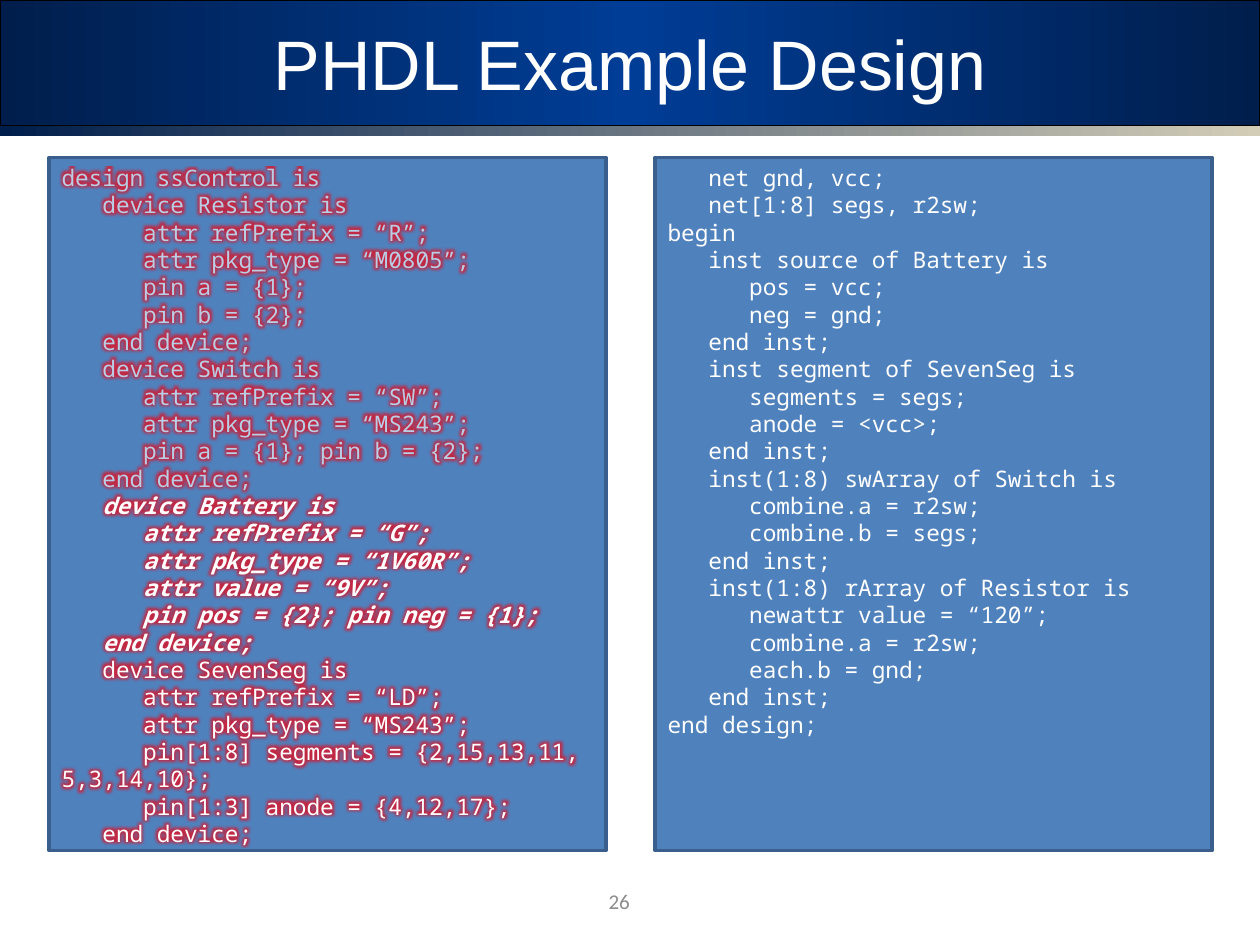
from lxml import etree
from pptx import Presentation
from pptx.dml.color import RGBColor
from pptx.enum.shapes import MSO_SHAPE as Shape
from pptx.enum.text import MSO_ANCHOR as Anchor, PP_ALIGN as Align
from pptx.oxml import parse_xml
from pptx.oxml.ns import nsdecls, qn
from pptx.util import Inches, Pt

NAVY = RGBColor(0x00, 0x1E, 0x4C)
ROYAL = RGBColor(0x00, 0x3D, 0x96)
SAND = RGBColor(0xD3, 0xCD, 0xB7)
BLACK = RGBColor(0x00, 0x00, 0x00)
WHITE = RGBColor(0xFF, 0xFF, 0xFF)
GRAY = RGBColor(0x8C, 0x8C, 0x8C)
PANEL_BLUE = RGBColor(0x4F, 0x81, 0xBD)
PANEL_EDGE = RGBColor(0x3A, 0x5F, 0x8C)
PALE_BLUE = RGBColor(0xB9, 0xCD, 0xE5)
GLOW_RED = RGBColor(0xC0, 0x28, 0x44)

PASSIVE_DEVICES = """design ssControl is
   device Resistor is
      attr refPrefix = “R”;
      attr pkg_type = “M0805”;
      pin a = {1};
      pin b = {2};
   end device;
   device Switch is
      attr refPrefix = “SW”;
      attr pkg_type = “MS243”;
      pin a = {1}; pin b = {2};
   end device;"""

BATTERY_DEVICE = """   device Battery is
      attr refPrefix = “G”;
      attr pkg_type = “1V60R”;
      attr value = “9V”;
      pin pos = {2}; pin neg = {1};
   end device;"""

DISPLAY_DEVICE = """   device SevenSeg is
      attr refPrefix = “LD”;
      attr pkg_type = “MS243”;
      pin[1:8] segments = {2,15,13,11, 5,3,14,10};
      pin[1:3] anode = {4,12,17};
   end device;"""

INSTANCES = """   net gnd, vcc;
   net[1:8] segs, r2sw;
begin
   inst source of Battery is
      pos = vcc;
      neg = gnd;
   end inst;
   inst segment of SevenSeg is
      segments = segs;
      anode = <vcc>;
   end inst;
   inst(1:8) swArray of Switch is
      combine.a = r2sw;
      combine.b = segs;
   end inst;
   inst(1:8) rArray of Resistor is
      newattr value = “120”;
      combine.a = r2sw;
      each.b = gnd;
   end inst;
end design;"""


def set_font(font, name, size, color):
    font.name, font.size = name, Pt(size)
    font.color.rgb = color


def add_gradient_bar(slide, kind, box, colors):
    """Add a bar whose colours run evenly from left to right."""
    bar = slide.shapes.add_shape(kind, *map(Inches, box))
    bar.shadow.inherit = False
    bar.fill.gradient()
    bar.fill.gradient_angle = 0
    stops = bar._element.spPr.find(".//" + qn("a:gsLst"))
    for stop in list(stops):
        stops.remove(stop)
    for index, color in enumerate(colors):
        position = 100000 * index // (len(colors) - 1)
        stop = etree.SubElement(stops, qn("a:gs"), pos=str(position))
        etree.SubElement(stop, qn("a:srgbClr"), val=str(color))
    return bar


def add_header(slide, left, top, width, height):
    banner = add_gradient_bar(slide, Shape.RECTANGLE, (left, top, width, height),
                              (NAVY, ROYAL, NAVY))
    banner.line.color.rgb = BLACK
    banner.line.width = Pt(0.75)
    strip = add_gradient_bar(slide, Shape.ROUNDED_RECTANGLE,
                             (left, top + height, width, 0.08), (NAVY, SAND))
    strip.adjustments[0] = 0.02
    strip.line.fill.background()

    # Title, raised above the banner
    title = slide.shapes.title
    slide.shapes._spTree.append(title._element)
    title.left, title.top = Inches(left + 0.5), Inches(top)
    title.width, title.height = Inches(width - 1), Inches(height)
    title.text_frame.text = "PHDL Example Design"
    title.text_frame.vertical_anchor = Anchor.MIDDLE
    paragraph = title.text_frame.paragraphs[0]
    paragraph.alignment = Align.CENTER
    set_font(paragraph.font, "Arial", 40, WHITE)


def add_glow(run):
    run._r.get_or_add_rPr().append(parse_xml(
        f'<a:effectLst {nsdecls("a")}><a:glow rad="{Pt(5)}">'
        f'<a:srgbClr val="{GLOW_RED}"/></a:glow></a:effectLst>'))


def add_code_panel(slide, box, blocks, glow=False):
    """Add a code listing; each block is (code, colour, emphasized)."""
    panel = slide.shapes.add_shape(Shape.RECTANGLE, *map(Inches, box))
    panel.shadow.inherit = False
    panel.fill.solid()
    panel.fill.fore_color.rgb = PANEL_BLUE
    panel.line.color.rgb = PANEL_EDGE
    panel.line.width = Pt(2)
    frame = panel.text_frame
    frame.word_wrap = True
    frame.vertical_anchor = Anchor.TOP
    lines = [(line, color, emphasized) for code, color, emphasized in blocks
             for line in code.split("\n")]
    for index, (line, color, emphasized) in enumerate(lines):
        paragraph = frame.add_paragraph() if index else frame.paragraphs[0]
        paragraph.alignment = Align.LEFT
        set_font(paragraph.font, "Noto Sans Mono", 13, color)
        paragraph.font.bold = paragraph.font.italic = emphasized
        run = paragraph.add_run()
        run.text = line
        if glow:
            add_glow(run)


def add_page_number(slide, box, number):
    frame = slide.shapes.add_textbox(*map(Inches, box)).text_frame
    frame.word_wrap = True
    frame.vertical_anchor = Anchor.MIDDLE
    frame.text = number
    paragraph = frame.paragraphs[0]
    paragraph.alignment = Align.CENTER
    set_font(paragraph.font, "Calibri", 12, GRAY)


def main():
    presentation = Presentation()
    presentation.slide_width, presentation.slide_height = Inches(10), Inches(7.5)
    slide = presentation.slides.add_slide(presentation.slide_layouts[5])
    add_header(slide, 0, 0, 10, 1)
    add_page_number(slide, (3.75, 6.95, 2.33, 0.4), "26")
    add_code_panel(slide, (0.39, 1.25, 4.42, 5.5),
                   [(PASSIVE_DEVICES, PALE_BLUE, False),
                    (BATTERY_DEVICE, WHITE, True),
                    (DISPLAY_DEVICE, WHITE, False)], glow=True)
    add_code_panel(slide, (5.2, 1.25, 4.42, 5.5), [(INSTANCES, WHITE, False)])
    presentation.save("out.pptx")


if __name__ == "__main__":
    main()
